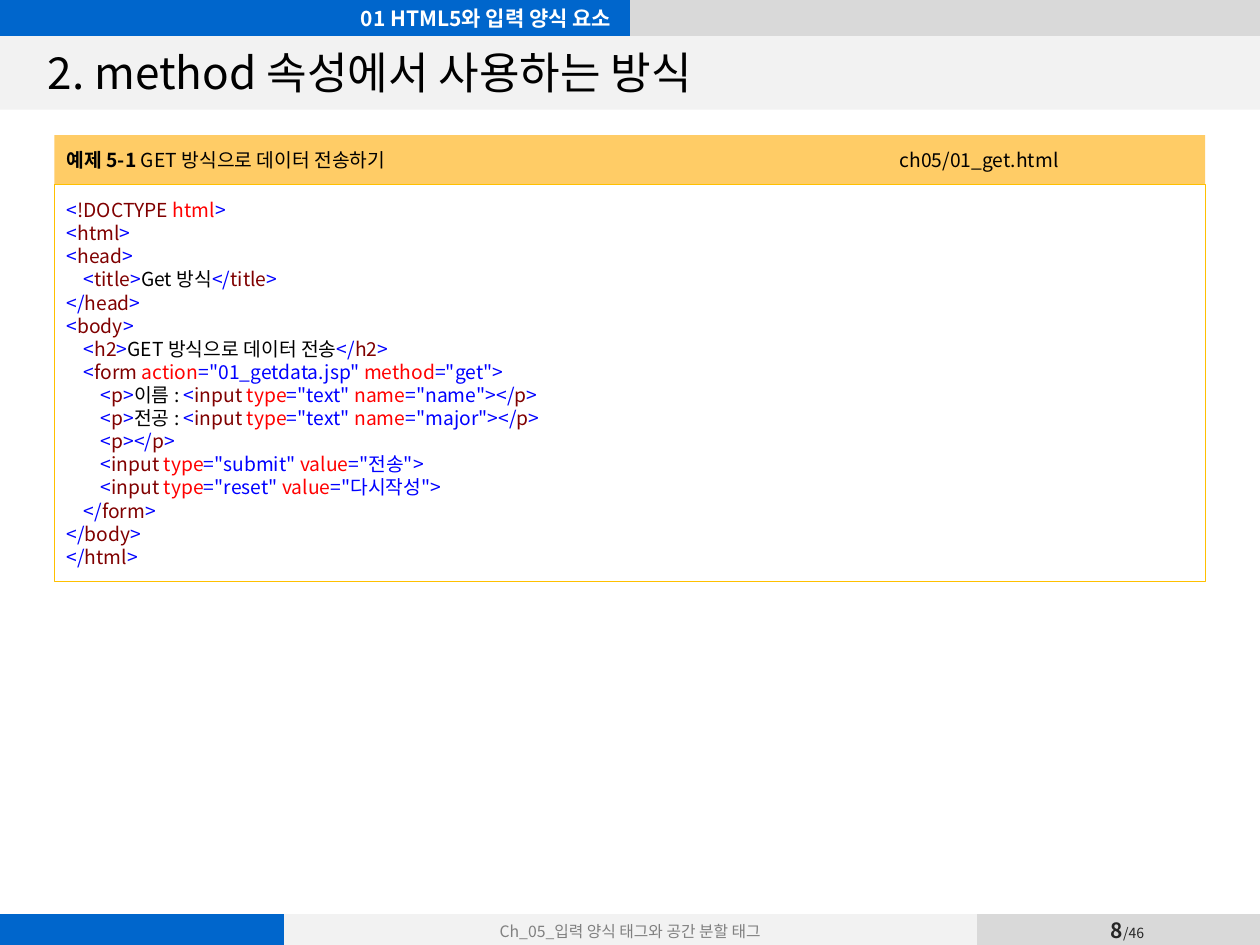
from pptx import Presentation
from pptx.dml.color import RGBColor
from pptx.enum.shapes import MSO_SHAPE as SHAPE
from pptx.enum.text import MSO_ANCHOR as ANCHOR, PP_ALIGN as ALIGN
from pptx.oxml.ns import qn
from pptx.util import Pt
from lxml.etree import SubElement

FONT = "Noto Sans CJK KR"
COLORS = {
    "blue": "0066CC", "gray": "D9D9D9", "pale": "F2F2F2", "footer": "808080",
    "page": "262626", "white": "FFFFFF", "black": "000000",
    "header": "FFCC66", "border": "FFC000",
    "mark": "0000FF", "tag": "800000", "attr": "FF0000",
}
# Letters that open each part of a code line
SYNTAX = {"m": "mark", "t": "tag", "a": "attr", "k": "black"}


def rgb(name):
    return RGBColor.from_string(COLORS[name])


def write(paragraph, text, size=11, color="black", bold=False, align=None):
    run = paragraph.add_run()
    run.text = text
    run.font.size = Pt(size)
    run.font.bold = bold
    run.font.name = FONT
    run.font.color.rgb = rgb(color)
    SubElement(run.font._element, qn("a:ea"), typeface=FONT)
    if align is not None:
        paragraph.alignment = align


prs = Presentation()
prs.slide_width, prs.slide_height = Pt(720), Pt(540)
slide = prs.slides.add_slide(prs.slide_layouts[6])
shapes = slide.shapes

# Filled and outlined boxes: title band, example header, code frame
boxes = []
for left, top, width, height, fill, line in [
    (0, 20.16, 720, 42.5, "pale", None),
    (31, 77.2, 657.6, 28.2, "header", None),
    (31, 105.6, 657.6, 226.8, None, "border"),
]:
    box = shapes.add_shape(SHAPE.RECTANGLE, Pt(left), Pt(top), Pt(width), Pt(height))
    box.shadow.inherit = False
    if fill:
        box.fill.solid()
        box.fill.fore_color.rgb = rgb(fill)
    else:
        box.fill.background()
    if line:
        box.line.color.rgb = rgb(line)
        box.line.width = Pt(0.5)
    else:
        box.line.fill.background()
    box.text_frame.vertical_anchor = ANCHOR.MIDDLE
    boxes.append(box)
title_band, example_header, code_frame = boxes

# Top and bottom bars
bars = []
for top, height, columns in [
    (0, 20.4, [(360, "blue"), (360, "gray")]),
    (522.2, 19.4, [(162, "blue"), (396, "pale"), (2, "gray"), (96.5, "gray"), (65, "gray")]),
]:
    width = sum(column for column, _ in columns)
    frame = shapes.add_table(1, len(columns), Pt(0), Pt(top), Pt(width), Pt(height))
    bar = frame.table
    bar._tbl.tblPr.find(qn("a:tableStyleId")).text = "{2D5ABB26-0587-4C30-8999-92F81FD0307C}"
    bar.rows[0].height = Pt(height)
    for i, (column, fill) in enumerate(columns):
        bar.columns[i].width = Pt(column)
        cell = bar.cell(0, i)
        cell.fill.solid()
        cell.fill.fore_color.rgb = rgb(fill)
        cell.margin_left = cell.margin_right = cell.margin_top = cell.margin_bottom = 0
        cell.vertical_anchor = ANCHOR.MIDDLE
        # Small end mark, so that empty cells keep the row low
        SubElement(cell.text_frame.paragraphs[0]._p, qn("a:endParaRPr"), sz="800")
    bars.append(bar)
write(bars[1].cell(0, 1).text_frame.paragraphs[0], "Ch_05_입력 양식 태그와 공간 분할 태그",
      size=9, color="footer", align=ALIGN.CENTER)

# Title, chapter and page number
lines = []
for left, top, width, height, inset, wrap in [
    (20.2, 20.9, 680.4, 40.3, 7.2, True),
    (0, 0, 356.4, 20.2, 7.2, True),
    (609.8, 522, 69.1, 18.7, 0, False),
]:
    frame = shapes.add_textbox(Pt(left), Pt(top), Pt(width), Pt(height)).text_frame
    frame.word_wrap = wrap
    frame.vertical_anchor = ANCHOR.MIDDLE
    frame.margin_left = frame.margin_right = Pt(inset)
    lines.append(frame.paragraphs[0])
title, chapter, page = lines
write(title, "2. method 속성에서 사용하는 방식", size=25.2)
write(chapter, "01 HTML5와 입력 양식 요소", size=12, color="white", bold=True, align=ALIGN.RIGHT)
write(page, "8", size=12, color="page", bold=True, align=ALIGN.CENTER)
write(page, "/46", size=8, color="page")

# Example header, file name at a tab stop
example = example_header.text_frame.paragraphs[0]
write(example, "예제 5-1 ", bold=True, align=ALIGN.LEFT)
write(example, "GET 방식으로 데이터 전송하기\tch05/01_get.html")
tabs = SubElement(example._p.get_or_add_pPr(), qn("a:tabLst"))
SubElement(tabs, qn("a:tab"), pos=str(Pt(476)), algn="l")

# Code listing: indent level, then parts led by their syntax letter
code = [
    (0, 'm<|t!DOCTYPE |ahtml|m>'),
    (0, 'm<|thtml|m>'),
    (0, 'm<|thead|m>'),
    (1, 'm<|ttitle|m>|kGet 방식|m</|ttitle|m>'),
    (0, 'm</|thead|m>'),
    (0, 'm<|tbody|m>'),
    (1, 'm<|th2|m>|kGET 방식으로 데이터 전송|m</|th2|m>'),
    (1, 'm<|tform |aaction|m="01_getdata.jsp" |amethod|m="get">'),
    (2, 'm<|tp|m>|k이름 : |m<|tinput |atype|m="text" |aname|m="name"></|tp|m>'),
    (2, 'm<|tp|m>|k전공 : |m<|tinput |atype|m="text" |aname|m="major"></|tp|m>'),
    (2, 'm<|tp|m></|tp|m>'),
    (2, 'm<|tinput |atype|m="submit" |avalue|m="전송">'),
    (2, 'm<|tinput |atype|m="reset" |avalue|m="다시작성">'),
    (1, 'm</|tform|m>'),
    (0, 'm</|tbody|m>'),
    (0, 'm</|thtml|m>'),
]
listing = code_frame.text_frame
for number, (level, line) in enumerate(code):
    row = listing.add_paragraph() if number else listing.paragraphs[0]
    row.line_spacing = Pt(13.2)
    row._p.get_or_add_pPr().set("marL", str(Pt(9.75 * level)))
    for part in line.split("|"):
        write(row, part[1:], color=SYNTAX[part[0]], align=ALIGN.LEFT)

prs.save("out.pptx")
